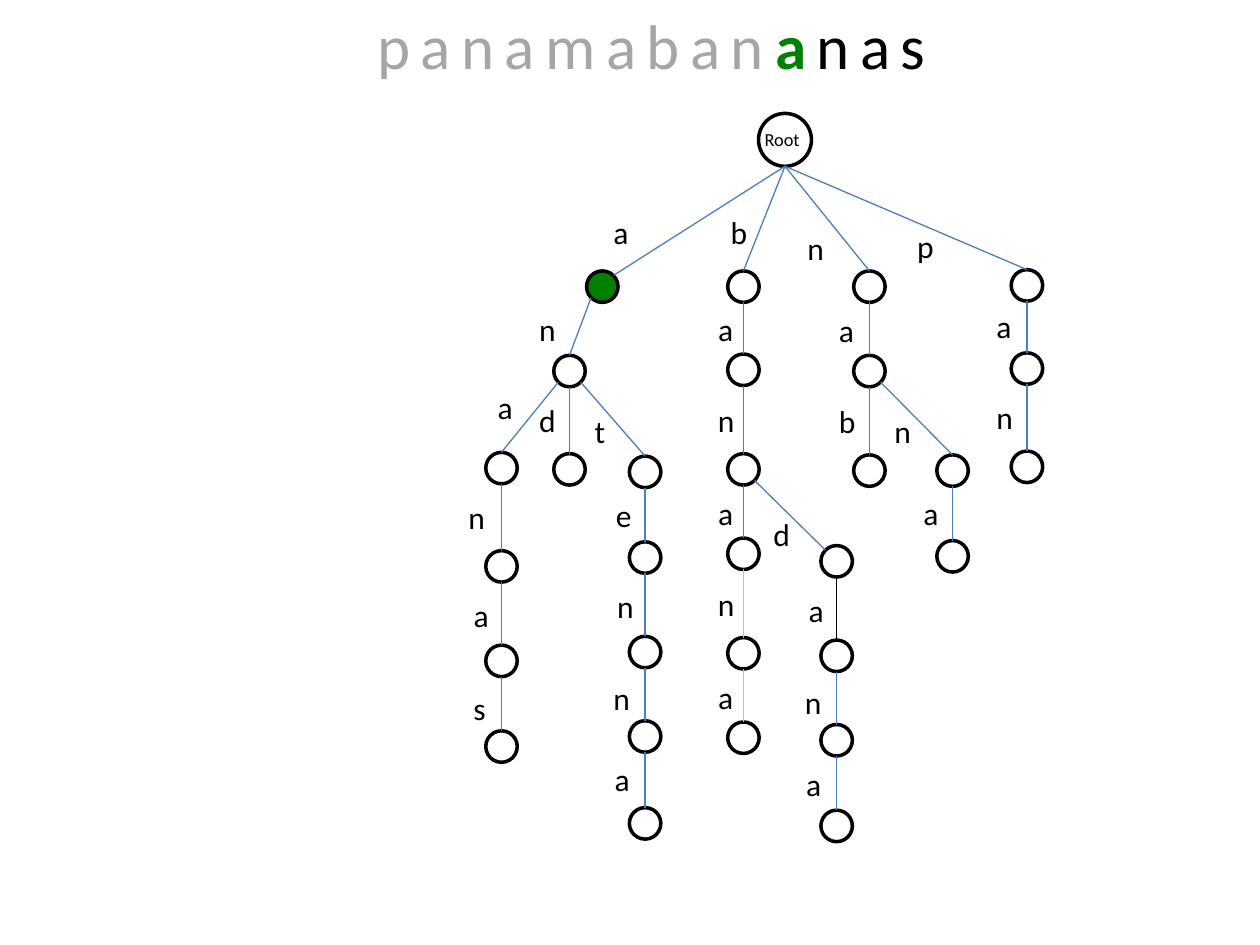
import dataclasses

import pptx
import pptx.dml.color
import pptx.enum.shapes
import pptx.enum.text
import pptx.oxml
import pptx.oxml.ns
import pptx.util


@dataclasses.dataclass(frozen=True)
class Theme:
    font: str = "Calibri"
    black: str = "000000"
    white: str = "FFFFFF"
    active: str = "008000"
    passed: str = "A6A6A6"
    edge: str = "4B7EBC"
    faint_edge: str = "BFBFBF"
    title_size: float = 36
    letter_size: float = 18
    root_size: float = 10.5
    title_spacing: float = 6
    node_line: float = 2
    edge_line: float = 0.75


THEME = Theme()
PAGE_WIDTH, PAGE_HEIGHT = 10, 7.5
NODE_SIZE, ROOT_SIZE = 0.25, 0.42
ROOT_CENTRE = (6.23, 1.11)
LABEL_HEIGHT = 0.4
LABEL_WIDTHS = {"a": 0.32, "e": 0.33, "s": 0.3, "t": 0.29}
WIDE_LABEL = 0.34

# Centre of each column of nodes, left to right
COLUMNS = (3.98, 4.52, 4.78, 5.12, 5.9, 6.64, 6.9, 7.56, 8.15)

# Prefix spelled from the root: column, top of node, left and top of edge letter
TRIE = {
    "a": (2, 2.15, 4.77, 1.64),
    "an": (1, 2.82, 4.18, 2.41),
    "ana": (0, 3.59, 3.85, 3.03),
    "anan": (0, 4.37, 3.62, 3.9),
    "anana": (0, 5.12, 3.66, 4.68),
    "ananas": (0, 5.8, 3.66, 5.42),
    "and": (1, 3.6, 4.18, 3.13),
    "ant": (3, 3.62, 4.62, 3.22),
    "ante": (3, 4.3, 4.79, 3.89),
    "anten": (3, 5.05, 4.8, 4.61),
    "antenn": (3, 5.72, 4.77, 5.34),
    "antenna": (3, 6.41, 4.78, 5.98),
    "b": (4, 2.15, 5.7, 1.64),
    "ba": (4, 2.81, 5.6, 2.41),
    "ban": (4, 3.6, 5.6, 3.13),
    "bana": (4, 4.27, 5.6, 3.87),
    "banan": (4, 5.06, 5.6, 4.59),
    "banana": (4, 5.73, 5.6, 5.33),
    "band": (5, 4.33, 6.04, 4.04),
    "banda": (5, 5.08, 6.32, 4.64),
    "bandan": (5, 5.75, 6.29, 5.37),
    "bandana": (5, 6.43, 6.3, 6.02),
    "n": (6, 2.15, 6.31, 1.77),
    "na": (6, 2.82, 6.56, 2.42),
    "nab": (6, 3.61, 6.56, 3.14),
    "nan": (7, 3.61, 7, 3.22),
    "nana": (7, 4.29, 7.23, 3.87),
    "p": (8, 2.14, 7.18, 1.75),
    "pa": (8, 2.8, 7.81, 2.39),
    "pan": (8, 3.58, 7.81, 3.11),
}
ACTIVE_NODE = "a"
EDGE_COLOURS = {"banan": THEME.faint_edge, "banana": THEME.faint_edge, "banda": THEME.black}
# Nodes entered at a shoulder rather than the top: 1 is right, -1 is left
SHOULDERS = {"a": 1, "band": -1}


def rgb(colour):
    return pptx.dml.color.RGBColor.from_string(colour)


def add_span(para, text, size, colour, bold=False):
    span = para.add_run()
    span.text = text
    span.font.name = THEME.font
    span.font.size = pptx.util.Pt(size)
    span.font.bold = bold
    span.font.color.rgb = rgb(colour)
    return span


def format_title(page):
    title = page.shapes.title
    title.left, title.top = pptx.util.Inches(PAGE_WIDTH * 0.267), 0
    title.width, title.height = pptx.util.Inches(PAGE_WIDTH / 2), pptx.util.Inches(0.71)
    frame = title.text_frame
    frame.auto_size = pptx.enum.text.MSO_AUTO_SIZE.NONE
    frame.vertical_anchor = pptx.enum.text.MSO_ANCHOR.TOP
    para = frame.paragraphs[0]
    para.alignment = pptx.enum.text.PP_ALIGN.CENTER
    for text, colour, bold in (
        ("panamaban", THEME.passed, False),
        ("a", THEME.active, True),
        ("nas", THEME.black, False),
    ):
        span = add_span(para, text, THEME.title_size, colour, bold)
        span.font._element.set("spc", str(round(THEME.title_spacing * 100)))


def add_node(page, centre, size, colour=THEME.white):
    corner = [pptx.util.Inches(middle - size / 2) for middle in centre]
    side = pptx.util.Inches(size)
    node = page.shapes.add_shape(pptx.enum.shapes.MSO_SHAPE.OVAL, *corner, side, side)
    node.shadow.inherit = False
    node.fill.solid()
    node.fill.fore_color.rgb = rgb(colour)
    node.line.color.rgb = rgb(THEME.black)
    node.line.width = pptx.util.Pt(THEME.node_line)


def add_label(page, text, left, top, width, height, size, wrap=False):
    box = page.shapes.add_textbox(*map(pptx.util.Inches, (left, top, width, height)))
    box.text_frame.word_wrap = wrap
    add_span(box.text_frame.paragraphs[0], text, size, THEME.black)


def centre_of(prefix):
    if not prefix:
        return ROOT_CENTRE
    column, top = TRIE[prefix][:2]
    return COLUMNS[column], top + NODE_SIZE / 2


def rim_point(prefix, side, down):
    """Point on a node's rim; side is -1, 0 or 1 and down is -1 or 1."""
    x, y = centre_of(prefix)
    radius = (NODE_SIZE if prefix else ROOT_SIZE) / 2
    reach = radius * (0.71 if side else 1)
    return x + side * reach, y + down * reach


def add_edge(page, prefix):
    parent = prefix[:-1]
    shift = centre_of(prefix)[0] - centre_of(parent)[0]
    side = (shift > 0) - (shift < 0) if parent else 0
    start = rim_point(parent, side, 1)
    end = rim_point(prefix, SHOULDERS.get(prefix, 0), -1)
    edge = page.shapes.add_connector(
        pptx.enum.shapes.MSO_CONNECTOR.STRAIGHT, *map(pptx.util.Inches, start + end)
    )
    edge.line.color.rgb = rgb(EDGE_COLOURS.get(prefix, THEME.edge))
    edge.line.width = pptx.util.Pt(THEME.edge_line)
    properties = edge._element.spPr
    properties.append(pptx.oxml.parse_xml(f"<a:effectLst {pptx.oxml.ns.nsdecls('a')}/>"))


def add_trie(page):
    add_node(page, ROOT_CENTRE, ROOT_SIZE)
    add_label(page, "Root", 5.97, 0.97, 0.55, 0.28, THEME.root_size, wrap=True)
    for prefix, (_, _, left, top) in TRIE.items():
        letter = prefix[-1]
        colour = THEME.active if prefix == ACTIVE_NODE else THEME.white
        add_node(page, centre_of(prefix), NODE_SIZE, colour)
        add_edge(page, prefix)
        width = LABEL_WIDTHS.get(letter, WIDE_LABEL)
        add_label(page, letter, left, top, width, LABEL_HEIGHT, THEME.letter_size)


def main():
    deck = pptx.Presentation()
    deck.slide_width = pptx.util.Inches(PAGE_WIDTH)
    deck.slide_height = pptx.util.Inches(PAGE_HEIGHT)
    page = deck.slides.add_slide(deck.slide_layouts.get_by_name("Title Only"))
    format_title(page)
    add_trie(page)
    deck.save("out.pptx")


if __name__ == "__main__":
    main()
